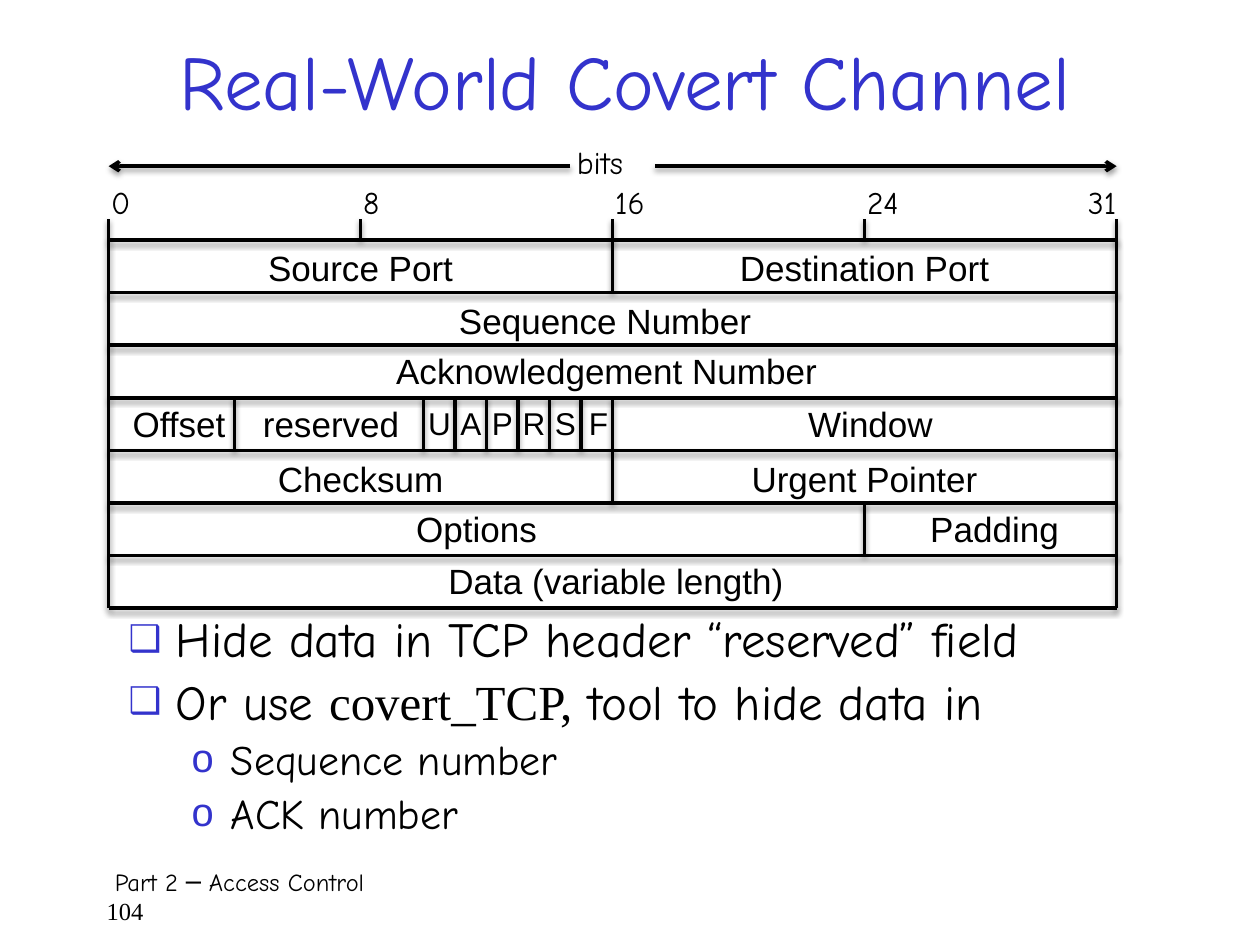
from lxml import etree
from pptx import Presentation
from pptx import util as u
from pptx.dml.color import RGBColor
from pptx.enum import shapes, text
from pptx.oxml import ns

# Content
HAND, SANS, SERIF = "Comic Neue", "Arial", "Times New Roman"
BLACK, BLUE = "000000", "3333CC"
TITLE = "Real-World Covert Channel"
FOOTER = [(" Part 2 ─ Access Control", HAND), ("104", SERIF)]
BULLETS = [
    (0, [("Hide data in TCP header “reserved” field", HAND)]),
    (0, [("Or use ", HAND), ("covert_TCP,", SERIF), (" tool to hide data in", HAND)]),
    (1, [("Sequence number", HAND)]),
    (1, [("ACK number", HAND)]),
]
LEVELS = [  # margin and hanging indent in cm, size in points
    dict(margin=0.95, hang=0.95, char="❑", pct=75, size=28, before=5.6),
    dict(margin=2.06, hang=0.79, char="o", pct=95, size=24, before=4.8),
]
# Rows of the header: vertical nudge, then (label, bits, horizontal nudge) in cm
ROWS = [
    (0, [("Source Port", 16, 0), ("Destination Port", 16, 0)]),
    (0, [("Sequence Number", 32, -0.15)]),
    (-0.05, [("Acknowledgement Number", 32, -0.12)]),
    (-0.05, [("Offset", 4, 0.15), ("reserved", 6, 0.04), ("U", 1, 0), ("A", 1, 0),
             ("P", 1, 0), ("R", 1, 0), ("S", 1, 0), ("F", 1, 0.03), ("Window", 16, 0.12)]),
    (0, [("Checksum", 16, 0), ("Urgent Pointer", 16, 0)]),
    (-0.05, [("Options", 24, -0.2), ("Padding", 8, 0.08)]),
    (-0.05, [("Data (variable length)", 32, 0.07)]),
]
TICKS = [("0", 0, 0.05), ("8", 8, 0.05), ("16", 16, 0.05), ("24", 24, 0.05), ("31", 32, -0.58)]

# Geometry in cm
LEFT, TOP, BIT, ROW_H = 2.19, 4.84, 0.635, 1.06
RIGHT, BOTTOM = LEFT + 32 * BIT, TOP + len(ROWS) * ROW_H
TICK_H, ARROW_Y = 0.42, 3.35

prs = Presentation()
prs.slide_width, prs.slide_height = u.Cm(25.4), u.Cm(19.05)
s = prs.slides.add_slide(prs.slide_layouts[1])


def color(hex_text):
    return RGBColor.from_string(hex_text)


def add_run(p, words, face, size, hex_text=BLACK):
    r = p.add_run()
    r.text = words
    for name, value in dict(name=face, size=u.Pt(size)).items():
        setattr(r.font, name, value)
    r.font.color.rgb = color(hex_text)


def place(sp, x, y, w, h):
    for name, value in dict(left=x, top=y, width=w, height=h).items():
        setattr(sp, name, u.Cm(value))


def add_label(words, x, y, w, h, face, size, align=text.PP_ALIGN.LEFT):
    tf = s.shapes.add_textbox(u.Cm(x), u.Cm(y), u.Cm(w), u.Cm(h)).text_frame
    fmt = dict(margin_left=0, margin_right=0, margin_top=0, margin_bottom=0,
               word_wrap=True, vertical_anchor=text.MSO_ANCHOR.MIDDLE)
    for name, value in fmt.items():
        setattr(tf, name, value)
    p = tf.paragraphs[0]
    p.alignment = align
    add_run(p, words, face, size)


def add_line(x1, y1, x2, y2, arrow=False):
    line = s.shapes.add_connector(shapes.MSO_CONNECTOR.STRAIGHT,
                                  u.Cm(x1), u.Cm(y1), u.Cm(x2), u.Cm(y2))
    line.line.width = u.Pt(2)
    line.line.color.rgb = color(BLACK)
    if arrow:
        etree.SubElement(line.line._get_or_add_ln(), ns.qn("a:tailEnd"), type="arrow")
    effects = etree.SubElement(line._element.spPr, ns.qn("a:effectLst"))
    shadow = etree.SubElement(effects, ns.qn("a:outerShdw"), blurRad="40000",
                              dist="20000", dir="5400000", rotWithShape="0")
    black = etree.SubElement(shadow, ns.qn("a:srgbClr"), val=BLACK)
    etree.SubElement(black, ns.qn("a:alpha"), val="38000")


def add_bullet(p, margin, hang, char, pct):
    pPr = p._p.get_or_add_pPr()
    pPr.set("marL", str(u.Cm(margin)))
    pPr.set("indent", str(-u.Cm(hang)))
    clr = etree.SubElement(pPr, ns.qn("a:buClr"))
    etree.SubElement(clr, ns.qn("a:srgbClr"), val=BLUE)
    etree.SubElement(pPr, ns.qn("a:buSzPct"), val=str(pct * 1000))
    etree.SubElement(pPr, ns.qn("a:buChar"), char=char)


# Title
title = s.shapes.title
place(title, 1.7, 0.43, 21.8, 2.34)
title.text_frame.vertical_anchor = text.MSO_ANCHOR.MIDDLE
title.text_frame.auto_size = text.MSO_AUTO_SIZE.NONE
p = title.text_frame.paragraphs[0]
p.alignment = text.PP_ALIGN.CENTER
add_run(p, TITLE, HAND, 44, BLUE)

# Bullet list
body = s.placeholders[1]
place(body, 2.34, 12.27, 21.16, 5.08)
tf = body.text_frame
tf.auto_size = text.MSO_AUTO_SIZE.NONE
for i, (level, runs) in enumerate(BULLETS):
    p = tf.add_paragraph() if i else tf.paragraphs[0]
    look = LEVELS[level]
    p.level = level
    add_bullet(p, look["margin"], look["hang"], look["char"], look["pct"])
    p.line_spacing = 0.9
    p.space_before = u.Pt(look["before"] if i else 0)
    for words, face in runs:
        add_run(p, words, face, look["size"])

# Bit scale
for words, bit, shift in TICKS:
    x = LEFT + bit * BIT
    add_line(x, TOP, x, TOP - TICK_H)
    add_label(words, x + shift, 3.56, 1, 1.02, HAND, 18)
add_line(11.5, ARROW_Y, LEFT, ARROW_Y, arrow=True)
add_line(13.2, ARROW_Y, RIGHT, ARROW_Y, arrow=True)
add_label("bits", 11.63, 2.75, 1.3, 1.02, HAND, 18)

# Header frame and fields
for x in (LEFT, RIGHT):
    add_line(x, TOP, x, BOTTOM)
for i in range(len(ROWS) + 1):
    add_line(LEFT, TOP + i * ROW_H, RIGHT, TOP + i * ROW_H)
for i, (dy, fields) in enumerate(ROWS):
    x, y = LEFT, TOP + i * ROW_H
    for words, bits, dx in fields:
        w = bits * BIT
        if x > LEFT:
            add_line(x, y, x, y + ROW_H)
        add_label(words, x + dx, y + dy, w, 1.12, SANS, 18 if bits == 1 else 20,
                  text.PP_ALIGN.CENTER)
        x += w

# Footer
tf = s.shapes.add_textbox(u.Cm(1.9), u.Cm(17.35), u.Cm(21.8), u.Cm(1.27)).text_frame
tf.word_wrap = True
for i, (words, face) in enumerate(FOOTER):
    add_run(tf.add_paragraph() if i else tf.paragraphs[0], words, face, 14)

prs.save("out.pptx")
